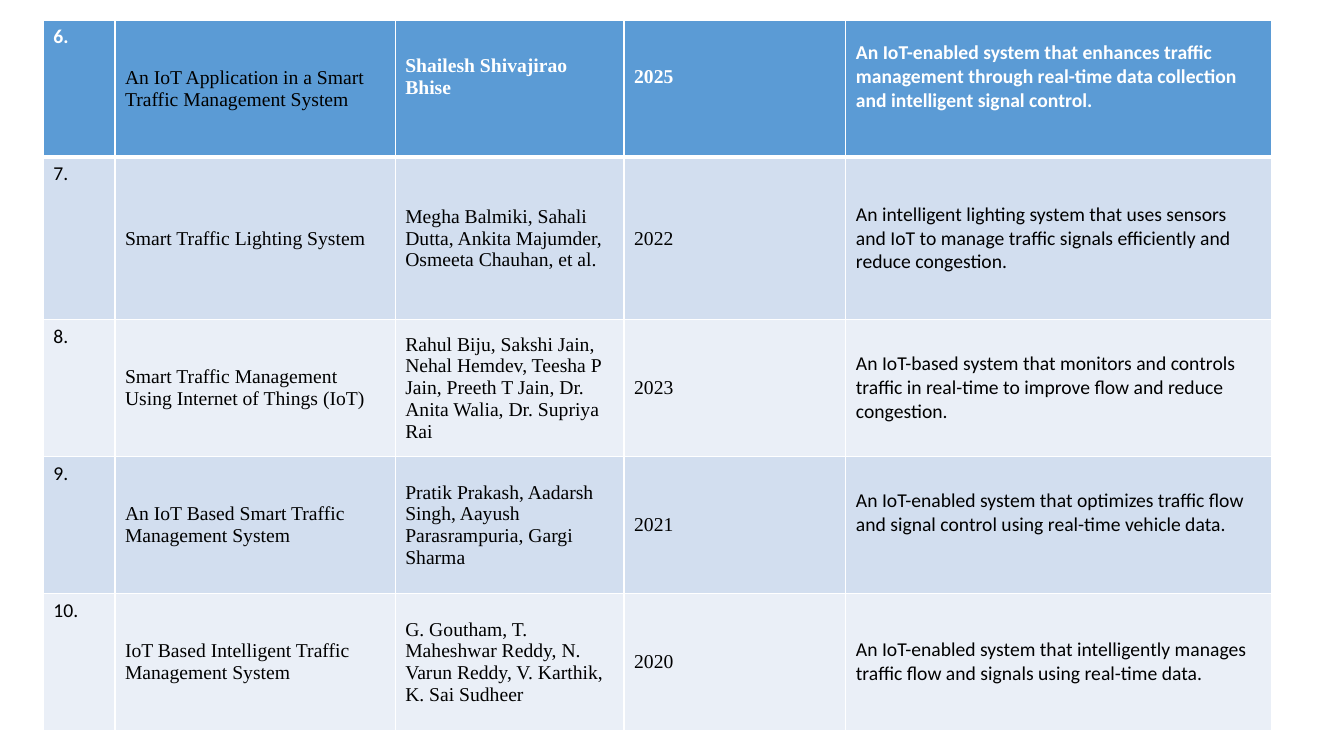
from dataclasses import dataclass

from lxml import etree
from pptx import Presentation
from pptx.dml.color import RGBColor
from pptx.enum import text
from pptx.oxml import ns
from pptx.util import Inches, Pt


@dataclass(frozen=True)
class Theme:
    header: str = "5B9BD5"
    bands: tuple = ("D2DEEF", "EAEFF7")
    white: str = "FFFFFF"
    black: str = "000000"
    sans: str = "Calibri"
    serif: str = "Times New Roman"
    size: int = 14
    thin: int = 1
    thick: int = 3


theme = Theme()


def add_border(cell, side, width):
    line = etree.SubElement(cell._tc.get_or_add_tcPr(), ns.qn(f"a:ln{side}"), w=str(Pt(width)))
    fill = etree.SubElement(line, ns.qn("a:solidFill"))
    etree.SubElement(fill, ns.qn("a:srgbClr"), val=theme.white)


# Survey entries: number, title, authors, year, summary
papers = [
    ("6.", "An IoT Application in a Smart Traffic Management System",
     "Shailesh Shivajirao Bhise", "2025",
     "An IoT-enabled system that enhances traffic management through real-time data "
     "collection and intelligent signal control."),
    ("7.", "Smart Traffic Lighting System",
     "Megha Balmiki, Sahali Dutta, Ankita Majumder, Osmeeta Chauhan, et al.", "2022",
     "An intelligent lighting system that uses sensors and IoT to manage traffic signals "
     "efficiently and reduce congestion."),
    ("8.", "Smart Traffic Management Using Internet of Things (IoT)",
     "Rahul Biju, Sakshi Jain, Nehal Hemdev, Teesha P Jain, Preeth T Jain, "
     "Dr. Anita Walia, Dr. Supriya Rai", "2023",
     "An IoT-based system that monitors and controls traffic in real-time to improve flow "
     "and reduce congestion."),
    ("9.", "An IoT Based Smart Traffic Management System",
     "Pratik Prakash, Aadarsh Singh, Aayush Parasrampuria, Gargi Sharma", "2021",
     "An IoT-enabled system that optimizes traffic flow and signal control using real-time "
     "vehicle data."),
    ("10.", "IoT Based Intelligent Traffic Management System",
     "G. Goutham, T. Maheshwar Reddy, N. Varun Reddy, V. Karthik, K. Sai Sudheer", "2020",
     "An IoT-enabled system that intelligently manages traffic flow and signals using "
     "real-time data."),
]
column_widths = [0.71, 2.78, 2.27, 2.2, 4.22]
row_heights = [1.36, 1.61, 1.36, 1.36, 1.36]
column_fonts = [theme.sans, theme.serif, theme.serif, theme.serif, theme.sans]
# Cells whose text sits above the middle, as (row, column)
raised_cells = {(0, 2), (0, 3), (0, 4), (3, 4)}

# Page
deck = Presentation()
deck.slide_width, deck.slide_height = Inches(13.33), Inches(7.5)
page = deck.slides.add_slide(deck.slide_layouts[6])

# Table grid
table = page.shapes.add_table(
    len(papers), len(column_widths), Inches(0.43), Inches(0.2),
    Inches(sum(column_widths)), Inches(sum(row_heights))).table
for column, width in zip(table.columns, column_widths):
    column.width = Inches(width)
for row, height in zip(table.rows, row_heights):
    row.height = Inches(height)

# Cells
for row_index, paper in enumerate(papers):
    is_header = row_index == 0
    band = theme.header if is_header else theme.bands[(row_index - 1) % 2]
    for column_index, wording in enumerate(paper):
        cell = table.cell(row_index, column_index)
        top = theme.thick if row_index == 1 else theme.thin
        bottom = theme.thick if is_header else theme.thin
        for side, width in zip("LRTB", (theme.thin, theme.thin, top, bottom)):
            add_border(cell, side, width)
        cell.fill.solid()
        cell.fill.fore_color.rgb = RGBColor.from_string(band)

        is_number, is_title = column_index == 0, column_index == 1
        cell.vertical_anchor = text.MSO_ANCHOR.TOP if is_number else text.MSO_ANCHOR.MIDDLE
        if (row_index, column_index) in raised_cells:
            cell.margin_bottom = Inches(0.29)

        emphasised = is_header and not is_title
        span = cell.text_frame.paragraphs[0].add_run()
        span.text = wording
        span.font.name = column_fonts[column_index]
        span.font.size = Pt(theme.size)
        span.font.bold = emphasised
        span.font.color.rgb = RGBColor.from_string(theme.white if emphasised else theme.black)

deck.save("out.pptx")
